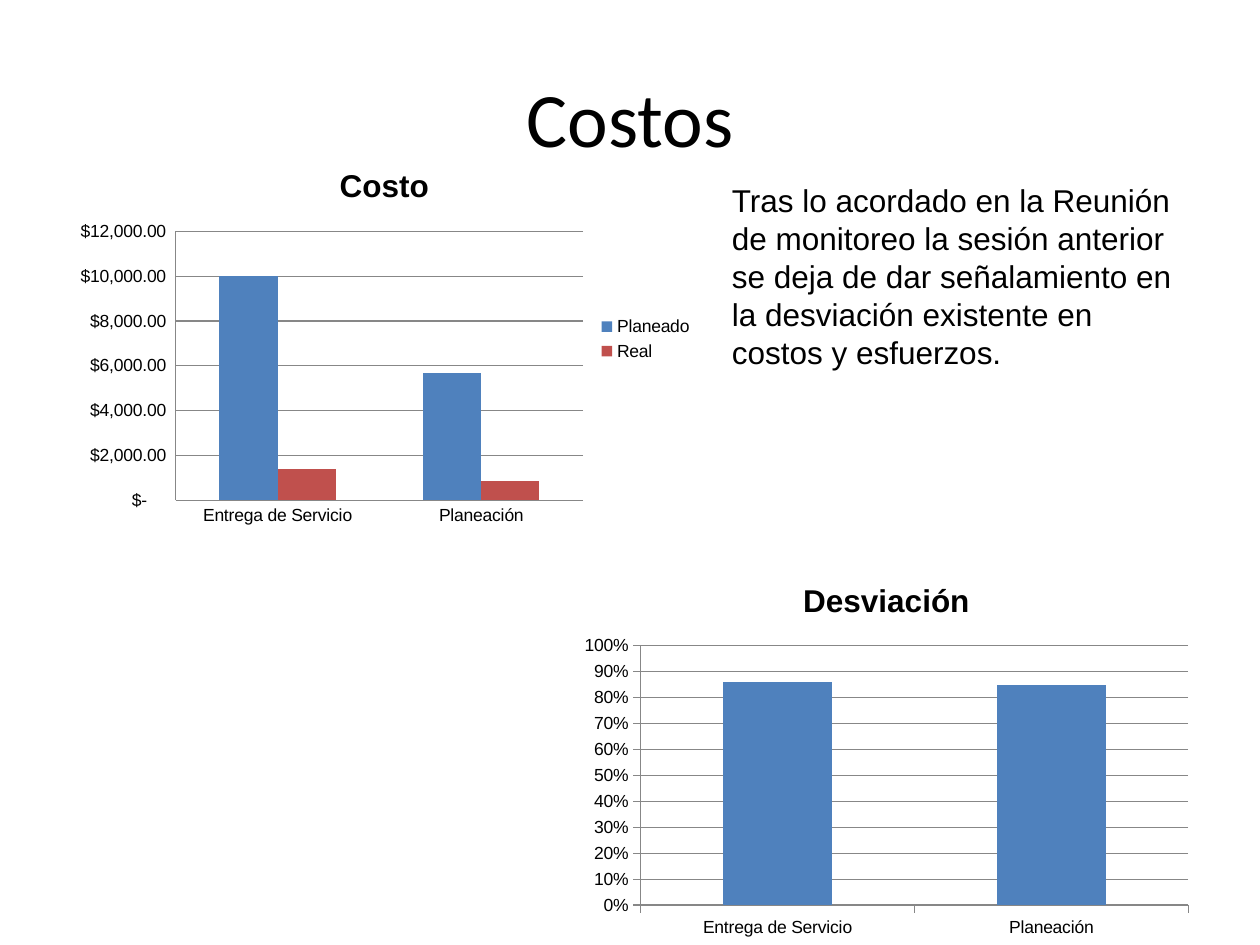
from pptx import Presentation
from pptx.chart.data import CategoryChartData
from pptx.dml.color import RGBColor
from pptx.enum.chart import XL_CHART_TYPE, XL_LEGEND_POSITION, XL_TICK_MARK
from pptx.enum.text import MSO_ANCHOR, PP_ALIGN
from pptx.util import Inches, Pt

COLORS = {"text": "000000", "plan": "4F81BD", "real": "C0504D", "line": "878787"}
CATS = ["Entrega de Servicio", "Planeación"]
MONEY = '_-"$"* #,##0.00_-;\\-"$"* #,##0.00_-;_-"$"* "-"??_-;_-@_-'
NOTE = (
    "Tras lo acordado en la Reunión de monitoreo la sesión anterior "
    "se deja de dar señalamiento en la desviación existente en costos y esfuerzos."
)


def color(name):
    """Return the named colour."""
    return RGBColor.from_string(COLORS[name])


def set_font(font, size, face="Arial", bold=False):
    """Set face, size, weight and colour of a font."""
    font.name, font.size, font.bold = face, Pt(size), bold
    font.color.rgb = color("text")


def add_text(slide, box, text, size, face="Arial", align=PP_ALIGN.LEFT, anchor=MSO_ANCHOR.TOP):
    """Add a wrapped text box with one paragraph."""
    frame = slide.shapes.add_textbox(*map(Inches, box)).text_frame
    frame.word_wrap = True
    frame.vertical_anchor = anchor
    para = frame.paragraphs[0]
    para.text, para.alignment = text, align
    set_font(para.font, size, face)


def add_bars(slide, box, title, series, form, tick, top, step):
    """Add a titled column chart; series holds name, values and colour."""
    data = CategoryChartData(number_format=form)
    data.categories = CATS
    for name, vals, _ in series:
        data.add_series(name, vals)
    kind = XL_CHART_TYPE.COLUMN_CLUSTERED
    chart = slide.shapes.add_chart(kind, *map(Inches, box), data).chart
    set_font(chart.font, 10)

    chart.has_title = True
    head = chart.chart_title.text_frame
    head.text = title
    set_font(head.paragraphs[0].font, 18, bold=True)

    chart.has_legend = len(series) > 1
    if chart.has_legend:
        chart.legend.position = XL_LEGEND_POSITION.RIGHT
        chart.legend.include_in_layout = False

    plot = chart.plots[0]
    plot.gap_width = 150
    plot.vary_by_categories = False
    for bar, (_, _, shade) in zip(plot.series, series):
        bar.format.fill.solid()
        bar.format.fill.fore_color.rgb = color(shade)

    axis = chart.value_axis
    axis.minimum_scale, axis.maximum_scale, axis.major_unit = 0, top, step
    axis.has_major_gridlines = True
    axis.tick_labels.number_format = form
    axis.tick_labels.number_format_is_linked = False
    for side in (axis, chart.category_axis):
        side.major_tick_mark = tick
        side.format.line.color.rgb = color("line")
    axis.major_gridlines.format.line.color.rgb = color("line")


def main():
    """Build the cost slide."""
    deck = Presentation()
    deck.slide_width, deck.slide_height = Inches(10), Inches(7.5)
    slide = deck.slides.add_slide(deck.slide_layouts[6])
    add_text(slide, (0.5, 0.3, 9, 1.25), "Costos", 44, "Calibri", PP_ALIGN.CENTER, MSO_ANCHOR.MIDDLE)
    costs = [("Planeado", (10000, 5700), "plan"), ("Real", (1400, 850), "real")]
    add_bars(slide, (0.5, 1.15, 5.1, 3.08), "Costo", costs, MONEY, XL_TICK_MARK.NONE, 12000, 2000)
    gaps = [("Desviación", (0.86, 0.85), "plan")]
    add_bars(slide, (4.54, 4.44, 4.99, 3.06), "Desviación", gaps, "0%", XL_TICK_MARK.OUTSIDE, 1, 0.1)
    add_text(slide, (5.71, 1.39, 3.79, 1.62), NOTE, 18)
    deck.save("out.pptx")


if __name__ == "__main__":
    main()
